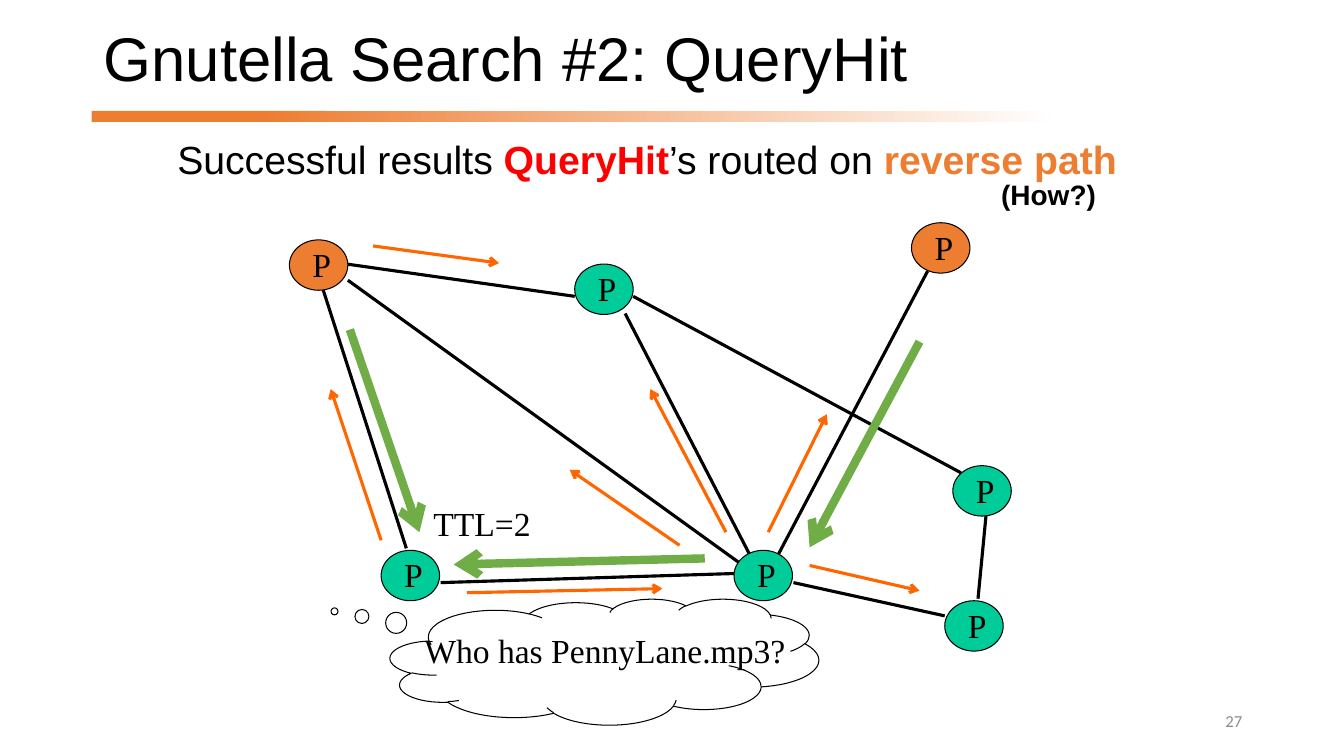
from dataclasses import dataclass

from lxml import etree
from pptx import Presentation
from pptx.dml.color import RGBColor
from pptx.enum.shapes import MSO_CONNECTOR, MSO_SHAPE
from pptx.enum.text import MSO_ANCHOR, MSO_AUTO_SIZE, PP_ALIGN
from pptx.oxml.ns import qn
from pptx.util import Inches, Pt

RECT, OVAL, CLOUD = MSO_SHAPE.RECTANGLE, MSO_SHAPE.OVAL, MSO_SHAPE.CLOUD_CALLOUT
STRAIGHT = MSO_CONNECTOR.STRAIGHT
TOP, MIDDLE = MSO_ANCHOR.TOP, MSO_ANCHOR.MIDDLE
LEFT, RIGHT = PP_ALIGN.LEFT, PP_ALIGN.RIGHT
FIT_TEXT = MSO_AUTO_SIZE.SHAPE_TO_FIT_TEXT


@dataclass(frozen=True)
class Theme:
    ink: str = "000000"
    paper: str = "FFFFFF"
    accent: str = "ED7D31"
    alert: str = "FF0000"
    peer: str = "00CC99"
    query: str = "FF6600"
    hit: str = "70AD47"
    muted: str = "8C8C8C"
    sans: str = "Arial"
    serif: str = "Times New Roman"
    footer_font: str = "Calibri"
    title_size: int = 44
    lead_size: int = 28
    label_size: int = 24
    note_size: int = 20
    footer_size: int = 12
    outline: float = 0.75
    thin: float = 2.25
    thick: float = 6


T = Theme()

PEER_SIZE = (0.58, 0.5)
PEERS = [
    (0, 0.17, T.accent), (2.83, 0.41, T.peer), (6.17, 0, T.accent),
    (6.58, 2.41, T.peer), (0.91, 3.25, T.peer), (4.41, 3.25, T.peer),
    (6.5, 3.75, T.peer),
]
LINKS = [
    (2.83, 0.73, 0.5, 0.4), (0.33, 0.65, 1.16, 3.23),
    (3.41, 0.73, 6.66, 2.48), (0.58, 0.57, 4.5, 3.4),
    (3.33, 0.9, 4.58, 3.32), (1.5, 3.57, 4.41, 3.48),
    (6.33, 0.48, 4.75, 3.48), (6.5, 3.9, 5, 3.57),
    (6.83, 3.73, 6.91, 2.9),
]
QUERIES = [
    (3.87, 3.2, 2.78, 2.45), (4.33, 3.07, 3.58, 1.65),
    (4.75, 3.07, 5.33, 1.9), (0.83, 0.23, 2.08, 0.4),
    (5.16, 3.4, 6.25, 3.65), (0.91, 3.15, 0.41, 1.65),
    (1.76, 3.67, 3.7, 3.63),
]
HITS = [
    (0.6, 1.06, 1.29, 3.07), (6.25, 1.18, 5.16, 3.22),
    (4.12, 3.33, 1.63, 3.39),
]


def rgb(color):
    return RGBColor.from_string(color)


def add_text(s, box, runs, size, font, color=T.ink, bold=False,
             wrap=False, anchor=TOP, align=LEFT, spacing=None):
    tf = s.shapes.add_textbox(*map(Inches, box)).text_frame
    tf.word_wrap = wrap
    tf.vertical_anchor = anchor
    if not wrap:
        tf.auto_size = FIT_TEXT
    p = tf.paragraphs[0]
    p.alignment = align
    p.line_spacing = spacing
    p.font.size = Pt(size)
    p.font.name = font
    p.font.bold = bold
    p.font.color.rgb = rgb(color)
    for text, run_color in runs:
        r = p.add_run()
        r.text = text
        if run_color:
            r.font.bold = True
            r.font.color.rgb = rgb(run_color)


def add_shape(s, kind, box, fill=None, line=None):
    sp = s.shapes.add_shape(kind, *map(Inches, box))
    sp.shadow.inherit = False
    if fill:
        sp.fill.solid()
        sp.fill.fore_color.rgb = rgb(fill)
    else:
        sp.fill.background()
    if line:
        sp.line.color.rgb = rgb(line)
        sp.line.width = Pt(T.outline)
    else:
        sp.line.fill.background()
    return sp


def add_line(s, x, y, ends, color, width, arrow=False):
    x1, y1, x2, y2 = ends
    points = (x + x1, y + y1, x + x2, y + y2)
    c = s.shapes.add_connector(STRAIGHT, *map(Inches, points))
    c.line.color.rgb = rgb(color)
    c.line.width = Pt(width)
    if arrow:
        etree.SubElement(c.line._get_or_add_ln(), qn("a:tailEnd"), type="arrow")
    etree.SubElement(c._element.spPr, qn("a:effectLst"))


def draw_header(s, x, y, w):
    add_shape(s, RECT, (x, y + 0.93, 2.33, 0.11), T.accent)
    fade = add_shape(s, RECT, (x + 1.66, y + 0.93, 7.92, 0.11))
    fade.fill.gradient()
    fade.fill.gradient_angle = 0
    for stop, position, color in zip(fade.fill.gradient_stops, (0, 1), (T.accent, T.paper)):
        stop.position = position
        stop.color.rgb = rgb(color)
    add_text(s, (x + 0.02, y, w, 0.89), [("Gnutella Search #2: QueryHit", None)],
             T.title_size, T.sans, wrap=True, anchor=MIDDLE, spacing=0.9)


def draw_lead(s, x, y, w):
    runs = [("Successful results ", None), ("QueryHit", T.alert),
            ("’s routed on ", None), ("reverse path", T.accent)]
    add_text(s, (x, y, w, 0.57), runs, T.lead_size, T.sans)
    add_text(s, (x + 8.17, y + 0.42, 1.71, 0.44), [("(How?)", None)],
             T.note_size, T.sans, bold=True, wrap=True)


def draw_peer(s, x, y, color):
    add_shape(s, OVAL, (x, y, *PEER_SIZE), color, T.ink)
    add_text(s, (x + 0.13, y - 0.01, 0.38, 0.51), [("P", None)], T.label_size, T.serif)


def draw_network(s, x, y):
    for ends in LINKS:
        add_line(s, x, y, ends, T.ink, T.thin)
    for px, py, color in PEERS:
        draw_peer(s, x + px, y + py, color)
    for ends in QUERIES:
        add_line(s, x, y, ends, T.query, T.thin, arrow=True)
    for ends in HITS:
        add_line(s, x, y, ends, T.hit, T.thick, arrow=True)
    add_text(s, (x + 1.33, y + 2.73, 1.18, 0.5), [("TTL=2", None)], T.label_size, T.serif)


def draw_thought(s, x, y, w, h):
    add_text(s, (x + 0.24, y + 0.26, 3.82, 0.5), [("Who has PennyLane.mp3?", None)],
             T.label_size, T.serif)
    cloud = add_shape(s, CLOUD, (x, y, w, h), line=T.ink)
    cloud.adjustments[0] = -0.63
    cloud.adjustments[1] = -0.4


def draw_page_number(s, x, y, w, h):
    add_text(s, (x, y, w, h), [("27", None)], T.footer_size, T.footer_font,
             T.muted, wrap=True, anchor=MIDDLE, align=RIGHT)


def main():
    prs = Presentation()
    prs.slide_width, prs.slide_height = Inches(13.33), Inches(7.5)
    s = prs.slides.add_slide(prs.slide_layouts[6])
    draw_header(s, 0.91, 0.17, 11.14)
    draw_lead(s, 1.66, 1.29, 9.75)
    draw_network(s, 2.87, 2.21)
    draw_thought(s, 3.87, 5.94, 4.25, 1.25)
    draw_page_number(s, 9.42, 6.95, 3, 0.4)
    prs.save("out.pptx")


if __name__ == "__main__":
    main()
